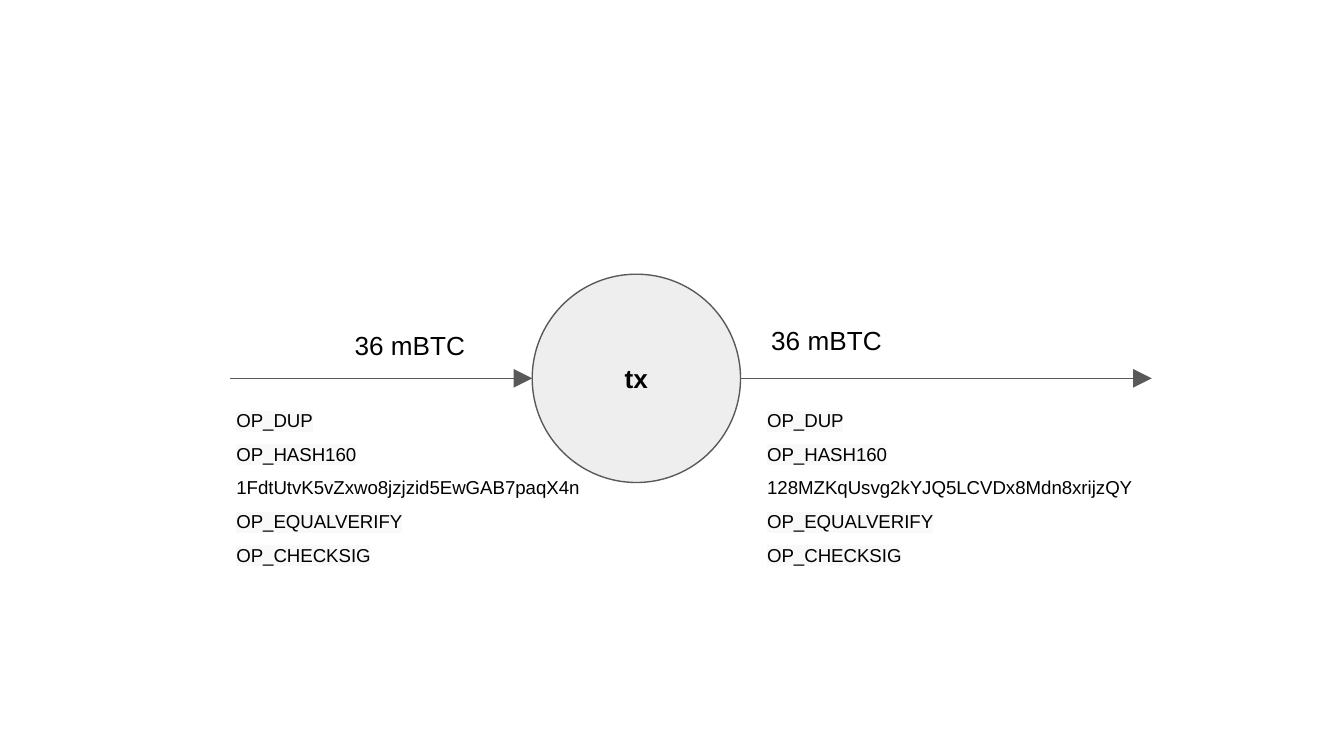
from lxml import etree
from pptx import Presentation
from pptx.dml.color import RGBColor
from pptx.enum import shapes, text
from pptx.oxml.ns import qn
from pptx.util import Inches, Pt

COLORS = {"text": "000000", "line": "595959", "node": "EEEEEE", "mark": "F9F9F9"}


def rgb(name):
    return RGBColor.from_string(COLORS[name])


class Diagram:
    font = "Arial"
    line_width = Pt(0.75)
    inset = Inches(0.1)

    def __init__(self, slide):
        self.s = slide

    def _frame(self, sp, anchor):
        tf = sp.text_frame
        tf.word_wrap = True
        tf.vertical_anchor = anchor
        tf.margin_left = tf.margin_right = self.inset
        tf.margin_top = tf.margin_bottom = self.inset
        return tf

    def _style(self, p, size, align, bold=False):
        p.alignment = align
        p.font.name, p.font.size, p.font.bold = self.font, Pt(size), bold
        p.font.color.rgb = rgb("text")

    def _run(self, p, words, marked=False):
        r = p.add_run()
        r.text = words
        if marked:
            mark = etree.SubElement(r._r.get_or_add_rPr(), qn("a:highlight"))
            etree.SubElement(mark, qn("a:srgbClr"), val=COLORS["mark"])

    def node(self, words, x, y, size):
        sp = self.s.shapes.add_shape(shapes.MSO_SHAPE.OVAL, Inches(x), Inches(y),
                                     Inches(size), Inches(size))
        sp.shadow.inherit = False
        sp.fill.solid()
        sp.fill.fore_color.rgb = rgb("node")
        sp.line.color.rgb = rgb("line")
        sp.line.width = self.line_width
        p = self._frame(sp, text.MSO_ANCHOR.MIDDLE).paragraphs[0]
        self._style(p, 14, text.PP_ALIGN.CENTER, True)
        self._run(p, words)

    def arrow(self, x1, x2, y):
        line = self.s.shapes.add_connector(shapes.MSO_CONNECTOR.STRAIGHT, Inches(x1),
                                           Inches(y), Inches(x2), Inches(y))
        line.line.color.rgb = rgb("line")
        line.line.width = self.line_width
        etree.SubElement(line.line._get_or_add_ln(), qn("a:tailEnd"),
                         type="triangle", w="lg", len="lg")
        etree.SubElement(line._element.spPr, qn("a:effectLst"))

    def _box(self, x, y, w, h):
        sp = self.s.shapes.add_textbox(Inches(x), Inches(y), Inches(w), Inches(h))
        return self._frame(sp, text.MSO_ANCHOR.TOP)

    def amount(self, words, x, y):
        p = self._box(x, y, 1.08, 0.45).paragraphs[0]
        self._style(p, 14, text.PP_ALIGN.CENTER)
        self._run(p, words)

    def lock_script(self, lines, x, y, w):
        """Each line is a list of runs; opcodes are highlighted, addresses are not."""
        tf = self._box(x, y, w, 1.22)
        for i, runs in enumerate(lines):
            p = tf.add_paragraph() if i else tf.paragraphs[0]
            p.line_spacing = 1.5
            self._style(p, 10, text.PP_ALIGN.LEFT)
            for words in runs:
                self._run(p, words, marked="OP_" in words)


def main():
    prs = Presentation()
    prs.slide_width = Inches(10)
    prs.slide_height = prs.slide_width * 9 // 16
    d = Diagram(prs.slides.add_slide(prs.slide_layouts[6]))

    # Transaction
    left, top, size = 3.96, 2.04, 1.55
    right, axis = left + size, top + size / 2
    d.node("tx", left, top, size)

    # Input and output arrows
    d.arrow(1.71, left, axis)
    d.arrow(right, 8.57, axis)

    # Output script, then input script, each with its amount
    start, end = [["OP_DUP"], ["OP_HASH160"]], [["OP_CHECKSIG"]]
    output = [["128MZKqUsvg2kYJQ5LCVDx8Mdn8xrijzQY"], ["OP_EQUALVERIFY"]]
    spent = [["1FdtUtvK5vZxwo8jzjzid5EwGAB7paqX4n", " OP_EQUALVERIFY"]]
    d.lock_script(start + output + end, 5.61, 2.86, 4.26)
    d.amount("36 mBTC", 2.51, 2.35)
    d.lock_script(start + spent + end, 1.66, 2.86, 3.42)
    d.amount("36 mBTC", 5.61, 2.31)

    prs.save("out.pptx")


if __name__ == "__main__":
    main()
